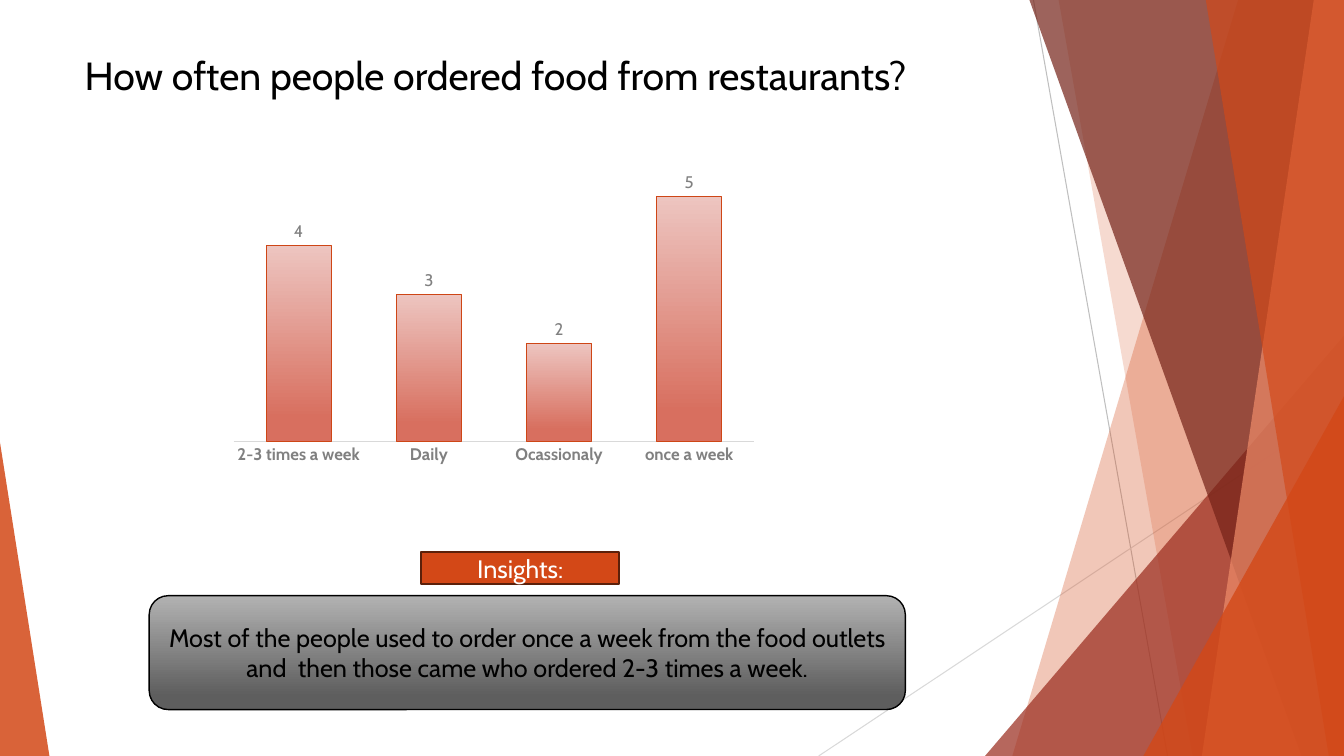
from pptx import Presentation
from pptx.chart.data import CategoryChartData
from pptx.dml.color import RGBColor
from pptx.enum.chart import XL_CHART_TYPE as Chart, XL_LABEL_POSITION as Spot
from pptx.enum.chart import XL_TICK_MARK as Tick
from pptx.enum.shapes import MSO_CONNECTOR as Link, MSO_SHAPE as Kind
from pptx.enum.text import MSO_ANCHOR as Anchor, PP_ALIGN as Align
from pptx.oxml.ns import qn
from pptx.util import Inches, Pt
from lxml.etree import SubElement

# Content
TITLE = "How often people ordered food from restaurants?"
COUNTS = {"2-3 times a week": 4, "Daily": 3, "Ocassionaly": 2, "once a week": 5}
HEAD = "Insights:"
INSIGHT = ("Most of the people used to order once a week from the food outlets "
           "and  then those came who ordered 2-3 times a week.")

# Style
FONT = "Cabin"
WIDE, HIGH = 13.33, 7.5
BLACK, WHITE = RGBColor(0, 0, 0), RGBColor(255, 255, 255)
GREY, PALE = RGBColor(0x80, 0x80, 0x80), RGBColor(0xD9, 0xD9, 0xD9)
SILVER = RGBColor(0xBF, 0xBF, 0xBF)
ORANGE, BROWN = RGBColor(0xD3, 0x48, 0x17), RGBColor(0x5C, 0x20, 0x0A)
RED, WINE = RGBColor(0x9B, 0x2D, 0x1F), RGBColor(0x74, 0x22, 0x17)
PEACH, EDGE = RGBColor(0xEF, 0x8C, 0x6A), RGBColor(0xCE, 0x46, 0x16)
BARS = RGBColor(0xED, 0xC5, 0xC0), RGBColor(0xD8, 0x6F, 0x5F)
STEEL = RGBColor(0xB2, 0xB2, 0xB2), RGBColor(0x5E, 0x5E, 0x5E)

# Backdrop: thin lines, then bands (top x, bottom x) and
# corner triangles (left, top, width, apex), with colour and opacity
LINES = [((10.25, 0), (11.58, HIGH), SILVER), ((WIDE, 4.03), (8.12, HIGH), PALE)]
FACETS = [
    ((12.28, 10.04), ORANGE, 30),
    ((10.5, 11.83), ORANGE, 20),
    ((9.77, 3.33, 3.56, 1), RED, 72),
    ((10.21, 12.91), WINE, 70),
    ((13.03, 11.92), PEACH, 70),
    ((11.96, 13.18), ORANGE, 65),
    ((11.34, 3.93, 1.99, 1), ORANGE, 80),
    ((0, 4.39, 0.49, 0), ORANGE, 85),
]


def box(*nums):
    return [Inches(n) for n in nums]


def style(font, **form):
    for key, val in {"name": FONT, **form}.items():
        if key == "color":
            font.color.rgb = val
        else:
            setattr(font, key, val)


def blend(fill, hues):
    fill.gradient()
    fill.gradient_angle = 270
    for stop, hue, pos in zip(fill.gradient_stops, hues, (0, 0.88)):
        stop.color.rgb, stop.position = hue, pos


def stroke(line, hue, width):
    line.color.rgb, line.width = hue, Pt(width)


def band(top, foot):
    pen = shapes.build_freeform(Inches(top), 0, scale=1.0)
    pen.add_line_segments([box(WIDE, 0), box(WIDE, HIGH), box(foot, HIGH)])
    return pen.convert_to_shape()


def wedge(left, top, width, apex):
    tri = shapes.add_shape(Kind.ISOSCELES_TRIANGLE,
                           *box(left, top, width, HIGH - top))
    tri.adjustments[0] = apex
    return tri


def panel(kind, area, text, hue):
    item = shapes.add_shape(kind, *box(*area))
    item.shadow.inherit = False
    frame = item.text_frame
    frame.word_wrap, frame.vertical_anchor = True, Anchor.MIDDLE
    para = frame.paragraphs[0]
    para.text, para.alignment = text, Align.CENTER
    style(para.runs[0].font, size=Pt(18), color=hue)
    return item


deck = Presentation()
deck.slide_width, deck.slide_height = box(WIDE, HIGH)
slide = deck.slides.add_slide(deck.slide_layouts[5])
shapes = slide.shapes

# Backdrop
for start, end, hue in LINES:
    line = shapes.add_connector(Link.STRAIGHT, *box(*start, *end))
    stroke(line.line, hue, 0.75)
    SubElement(line.element.spPr, qn("a:effectLst"))
for form, hue, alpha in FACETS:
    facet = band(*form) if len(form) == 2 else wedge(*form)
    facet.shadow.inherit = False
    facet.fill.solid()
    facet.fill.fore_color.rgb = hue
    facet.line.fill.background()
    tint = facet.element.spPr.find(".//" + qn("a:srgbClr"))
    SubElement(tint, qn("a:alpha"), val=str(alpha * 1000))

# Title
title = shapes.title
title.left, title.top, title.width, title.height = box(0.74, 0.46, 9.4, 1.44)
title.text_frame.text = TITLE
title.text_frame.word_wrap = True
title.text_frame.vertical_anchor = Anchor.TOP
title.text_frame.paragraphs[0].alignment = Align.LEFT
style(title.text_frame.paragraphs[0].runs[0].font, size=Pt(28), color=BLACK)

# Chart
data = CategoryChartData()
data.categories = list(COUNTS)
data.add_series("Series 1", list(COUNTS.values()))
chart = shapes.add_chart(Chart.COLUMN_CLUSTERED,
                         *box(2.21, 1.4, 5.38, 3.28), data).chart
chart.has_title = chart.has_legend = False
style(chart.font, size=Pt(10), color=BLACK)

axis = chart.category_axis
axis.major_tick_mark = axis.minor_tick_mark = Tick.NONE
style(axis.tick_labels.font, size=Pt(12), bold=True, color=GREY)
stroke(axis.format.line, PALE, 0.75)
scale = chart.value_axis
scale.visible = scale.has_major_gridlines = False
scale.minimum_scale, scale.maximum_scale = 0, 6

plot = chart.plots[0]
plot.gap_width, plot.overlap, plot.vary_by_categories = 100, -24, False
bars = plot.series[0]
blend(bars.format.fill, BARS)
stroke(bars.format.line, EDGE, 0.75)
tags = bars.data_labels
tags.show_value, tags.position = True, Spot.OUTSIDE_END
style(tags.font, size=Pt(12), bold=False, color=GREY)

# Insights
note = panel(Kind.ROUNDED_RECTANGLE, (1.48, 5.91, 7.5, 1.13), INSIGHT, BLACK)
blend(note.fill, STEEL)
stroke(note.line, BLACK, 1)
head = panel(Kind.RECTANGLE, (4.18, 5.48, 1.96, 0.31), HEAD, WHITE)
head.fill.solid()
head.fill.fore_color.rgb = ORANGE
stroke(head.line, BROWN, 1.5)

deck.save("out.pptx")
